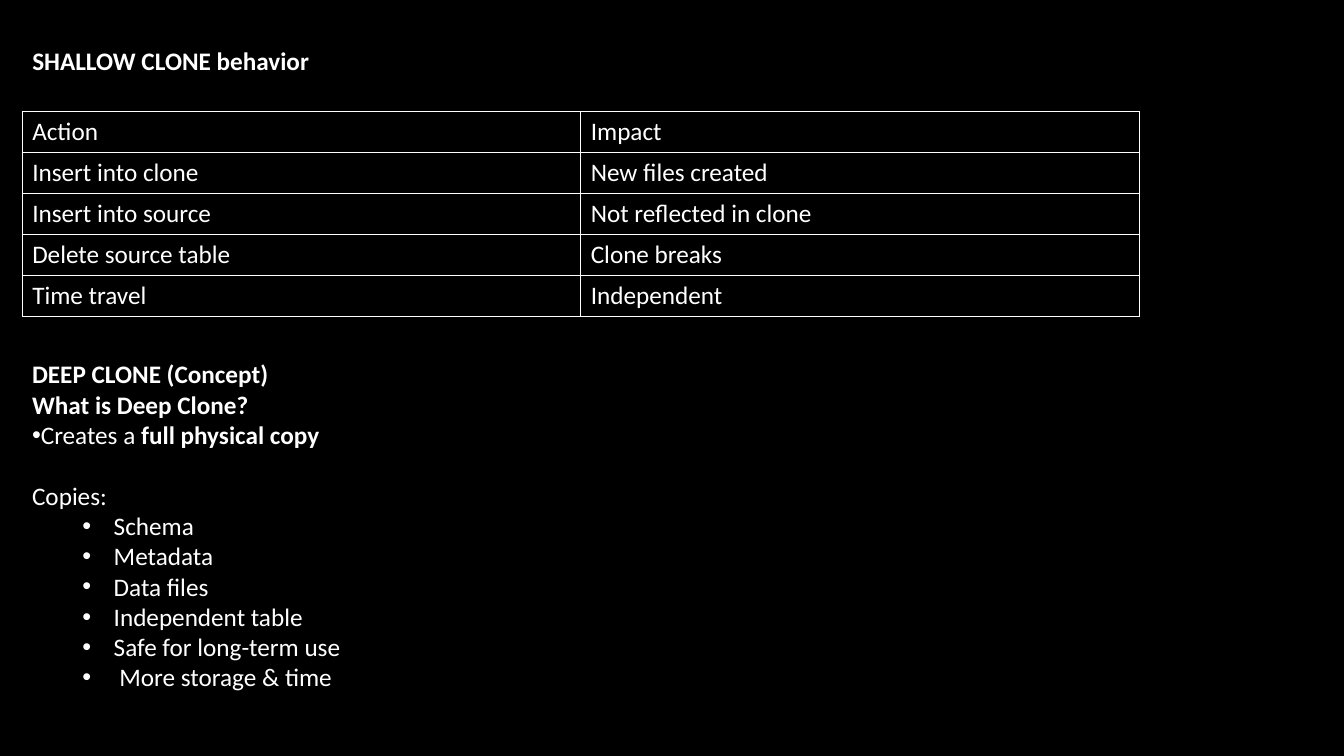
from dataclasses import dataclass

from lxml.etree import SubElement
from pptx import Presentation
from pptx.dml.color import RGBColor
from pptx.enum.text import MSO_ANCHOR, MSO_AUTO_SIZE, PP_ALIGN
from pptx.oxml import parse_xml
from pptx.oxml.ns import nsdecls, qn
from pptx.util import Inches, Pt

COLORS = {"back": "000000", "ink": "FFFFFF"}
FONT = "Calibri"
ROWS = [
    ("Action", "Impact"),
    ("Insert into clone", "New files created"),
    ("Insert into source", "Not reflected in clone"),
    ("Delete source table", "Clone breaks"),
    ("Time travel", "Independent"),
]
COPIES = [
    "Schema",
    "Metadata",
    "Data files",
    "Independent table",
    "Safe for long-term use",
    " More storage & time",
]


@dataclass
class Line:
    """One paragraph of the notes on deep clones."""

    plain: str = ""
    bold: str = ""
    bullet: bool = False
    level: int = 0
    left: float = 0
    hang: float = 0
    before: float = 0


LINES = [
    Line(bold="DEEP CLONE (Concept)"),
    Line(bold="What is Deep Clone?"),
    Line("Creates a ", "full physical copy", bullet=True),
    Line("Copies:", before=22),
    *(Line(item, bullet=True, level=1, left=0.81, hang=-0.31) for item in COPIES),
]


def write(para, text: str, size: float = 18, bold: bool = False, color: str = "ink") -> None:
    """Add a formatted run to a paragraph."""
    run = para.add_run()
    run.text = text
    run.font.name = FONT
    run.font.size = Pt(size)
    run.font.bold = bold
    run.font.color.rgb = RGBColor.from_string(COLORS[color])


def place(shape, left: float, top: float, width: float, height: float) -> None:
    """Set the place and size of a shape in inches."""
    shape.left, shape.top = Inches(left), Inches(top)
    shape.width, shape.height = Inches(width), Inches(height)


def head(slide, text: str) -> None:
    """Fill and format the title."""
    title = slide.shapes.title
    place(title, 0.22, 0.4, 11.78, 0.79)
    frame = title.text_frame
    frame.word_wrap = True
    frame.auto_size = MSO_AUTO_SIZE.NONE
    frame.vertical_anchor = MSO_ANCHOR.TOP
    para = frame.paragraphs[0]
    para.alignment = PP_ALIGN.LEFT
    write(para, text, bold=True)


def edge(cell) -> None:
    """Draw a thin line on every side of a cell."""
    props = cell._tc.get_or_add_tcPr()
    for spot, side in enumerate(("lnL", "lnR", "lnT", "lnB")):
        props.insert(spot, parse_xml(
            f'<a:{side} {nsdecls("a")} w="12700"><a:solidFill>'
            f'<a:srgbClr val="{COLORS["ink"]}"/></a:solidFill></a:{side}>'))


def grid(slide, rows: list[tuple[str, str]]) -> None:
    """Add the table of actions and impacts."""
    table = slide.shapes.add_table(
        len(rows), 2, Inches(0.22), Inches(1.11), Inches(11.08), Inches(0.4 * len(rows))).table
    table.first_row = table.horz_banding = False
    for r, row in enumerate(rows):
        for c, text in enumerate(row):
            cell = table.cell(r, c)
            cell.fill.background()
            cell.vertical_anchor = MSO_ANCHOR.MIDDLE
            edge(cell)
            write(cell.text_frame.paragraphs[0], text)


def notes(slide, lines: list[Line]) -> None:
    """Add the text box with its bullets."""
    box = slide.shapes.add_textbox(Inches(0.22), Inches(3.51), Inches(6.67), Inches(3.43))
    frame = box.text_frame
    frame.word_wrap = True
    for i, line in enumerate(lines):
        para = frame.add_paragraph() if i else frame.paragraphs[0]
        para.level = line.level
        if line.bullet:
            props = para._p.get_or_add_pPr()
            props.set("marL", str(Inches(line.left)))
            props.set("indent", str(Inches(line.hang)))
            SubElement(props, qn("a:buFont"), typeface="Arial")
            SubElement(props, qn("a:buChar"), char="•")
        if line.before:
            para.space_before = Pt(line.before)
        if line.plain:
            write(para, line.plain)
        if line.bold:
            write(para, line.bold, bold=True)


def main() -> None:
    """Build and save the slide."""
    deck = Presentation()
    deck.slide_width, deck.slide_height = Inches(13.33), Inches(7.5)
    slide = deck.slides.add_slide(deck.slide_layouts.get_by_name("Title Only"))
    fill = slide.background.fill
    fill.solid()
    fill.fore_color.rgb = RGBColor.from_string(COLORS["back"])
    head(slide, "SHALLOW CLONE behavior")
    grid(slide, ROWS)
    notes(slide, LINES)
    deck.save("out.pptx")


if __name__ == "__main__":
    main()
